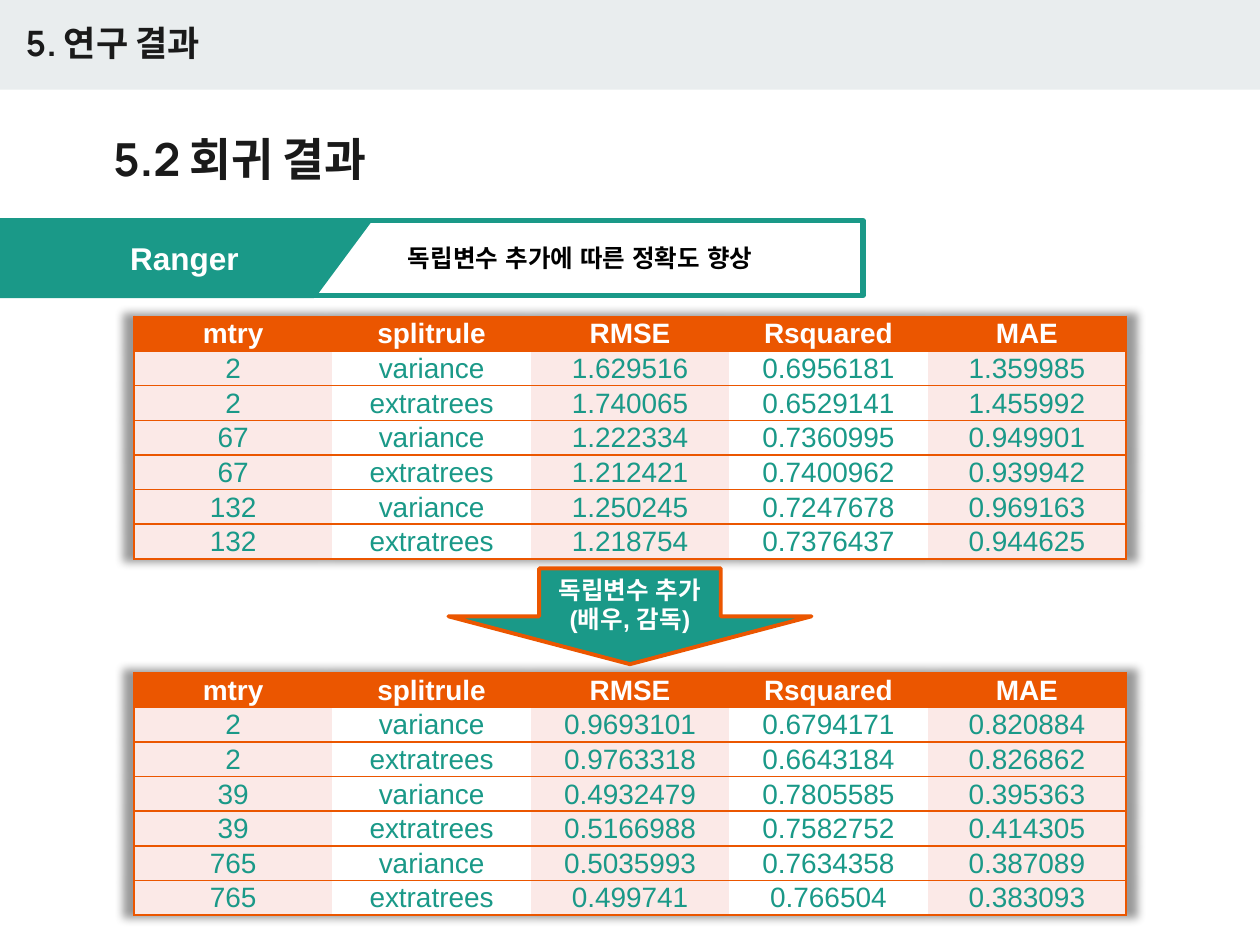
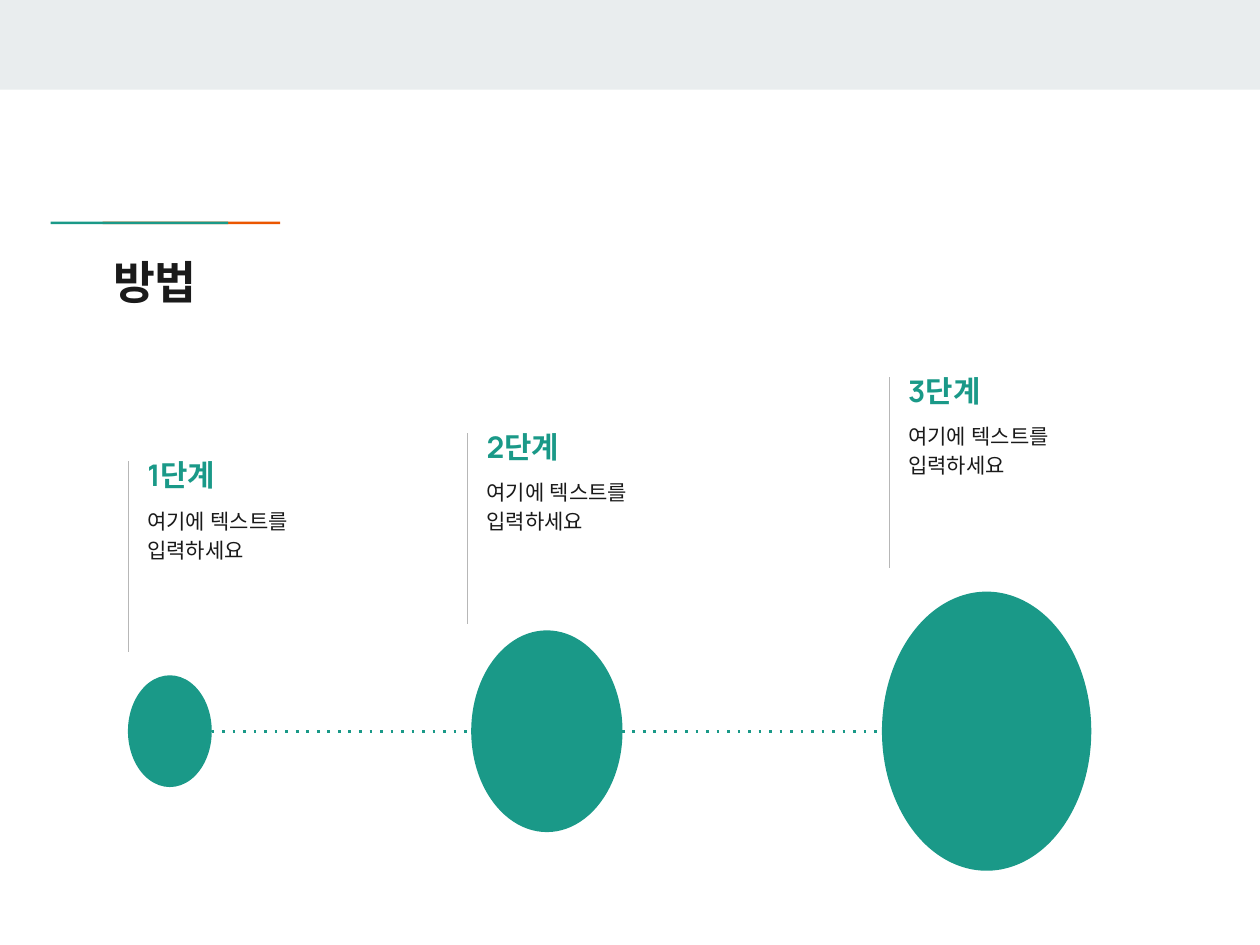
from pptx import Presentation
from pptx.dml.color import RGBColor
from pptx.enum.dml import MSO_LINE
from pptx.enum.shapes import MSO_CONNECTOR, MSO_SHAPE
from pptx.enum.text import MSO_ANCHOR as ANCHOR, PP_ALIGN as ALIGN
from pptx.oxml import parse_xml
from pptx.oxml.ns import nsdecls, qn
from pptx.util import Cm, Pt
from lxml.etree import SubElement

TEAL, ORANGE, WHITE = "1A9988", "EB5600", "FFFFFF"
BAND, INK, BLACK, PINK, GREY = "E9EDEE", "1A1A1A", "000000", "FBE9E7", "B7B7B7"
HEADING, BODY, PLAIN = "Manrope", "Lato", "Arial"

HEADERS = ["mtry", "splitrule", "RMSE", "Rsquared", "MAE"]
BEFORE = [
    ["2", "variance", "1.629516", "0.6956181", "1.359985"],
    ["2", "extratrees", "1.740065", "0.6529141", "1.455992"],
    ["67", "variance", "1.222334", "0.7360995", "0.949901"],
    ["67", "extratrees", "1.212421", "0.7400962", "0.939942"],
    ["132", "variance", "1.250245", "0.7247678", "0.969163"],
    ["132", "extratrees", "1.218754", "0.7376437", "0.944625"],
]
AFTER = [
    ["2", "variance", "0.9693101", "0.6794171", "0.820884"],
    ["2", "extratrees", "0.9763318", "0.6643184", "0.826862"],
    ["39", "variance", "0.4932479", "0.7805585", "0.395363"],
    ["39", "extratrees", "0.5166988", "0.7582752", "0.414305"],
    ["765", "variance", "0.5035993", "0.7634358", "0.387089"],
    ["765", "extratrees", "0.499741", "0.766504", "0.383093"],
]


def rgb(color):
    return RGBColor.from_string(color)


def cm(*lengths):
    return [Cm(length) for length in lengths]


def write(p, text, size, font, color, bold=False, align=None):
    p.alignment = align
    r = p.add_run()
    r.text = text
    r.font.size = Pt(size)
    r.font.bold = bold
    r.font.color.rgb = rgb(color)
    r.font.name = font
    SubElement(r.font._element, qn("a:ea"), typeface=font)


def paint(sp, fill, line=None, width=0):
    sp.shadow.inherit = False
    sp.fill.solid()
    sp.fill.fore_color.rgb = rgb(fill)
    if line:
        sp.line.color.rgb = rgb(line)
        sp.line.width = Pt(width)
    else:
        sp.line.fill.background()
    return sp


def add_shape(s, kind, box, fill, line=None, width=0):
    return paint(s.shapes.add_shape(kind, *cm(*box)), fill, line, width)


def add_line(s, x1, y1, x2, y2, color, width):
    line = s.shapes.add_connector(MSO_CONNECTOR.STRAIGHT, *cm(x1, y1, x2, y2))
    SubElement(line._element.spPr, qn("a:effectLst"))
    line.line.color.rgb = rgb(color)
    line.line.width = Pt(width)
    return line


def add_text(s, box, text, size, font, color, bold=True, anchor=ANCHOR.TOP, left=0.25):
    tf = s.shapes.add_textbox(*cm(*box)).text_frame
    tf.word_wrap = True
    tf.vertical_anchor = anchor
    tf.margin_left = Cm(left)
    tf.margin_top = tf.margin_right = tf.margin_bottom = Cm(0.25)
    write(tf.paragraphs[0], text, size, font, color, bold)
    return tf


def add_base(prs, title, title_top):
    s = prs.slides.add_slide(prs.slide_layouts[6])
    add_shape(s, MSO_SHAPE.RECTANGLE, (0, 0, 25.4, 1.81), BAND)
    add_text(s, (2.03, title_top, 21.36, 1.98), title, 26, HEADING, INK)
    return s


def add_ribbon(s, box, label, caption):
    left, top, width, height = box
    tab, slant = 7.44, 1.12
    panel = add_shape(s, MSO_SHAPE.RECTANGLE, (left + 6, top, width - 6, height), WHITE, TEAL, 3)
    outline = [(0, 0), (tab, 0), (tab - slant, height), (0, height)]
    points = [cm(left + x, top + y) for x, y in outline]
    builder = s.shapes.build_freeform(*points[0])
    builder.add_line_segments(points[1:])
    flag = paint(builder.convert_to_shape(), TEAL, TEAL, 3)
    for sp, text, size, color in ((panel, caption, 14, BLACK), (flag, label, 18, WHITE)):
        sp.text_frame.vertical_anchor = ANCHOR.MIDDLE
        write(sp.text_frame.paragraphs[0], text, size, PLAIN, color, True, ALIGN.CENTER)


def set_borders(cell, colors):
    tc_pr = cell._tc.get_or_add_tcPr()
    for i, (side, color) in enumerate(zip("LRTB", colors)):
        fill = f'<a:solidFill><a:srgbClr val="{color}"/></a:solidFill>' if color else "<a:noFill/>"
        tc_pr.insert(i, parse_xml(f'<a:ln{side} {nsdecls("a")} w="{Pt(1)}">{fill}</a:ln{side}>'))


def add_glow(table):
    table._tbl.tblPr.insert(0, parse_xml(
        f'<a:effectLst {nsdecls("a")}><a:outerShdw blurRad="63500" sx="102000" sy="102000" algn="ctr" '
        'rotWithShape="0"><a:prstClr val="black"><a:alpha val="40000"/></a:prstClr>'
        '</a:outerShdw></a:effectLst>'))


def add_scores(s, box, scores):
    left, top, width, height = box
    rows = [HEADERS] + scores
    last = len(HEADERS) - 1
    table = s.shapes.add_table(len(rows), len(HEADERS), *cm(*box)).table
    table.horz_banding = False
    add_glow(table)
    for column in table.columns:
        column.width = Cm(width / len(HEADERS))
    for i, values in enumerate(rows):
        table.rows[i].height = Cm(height / len(rows))
        for j, value in enumerate(values):
            cell = table.cell(i, j)
            cell.vertical_anchor = ANCHOR.MIDDLE
            cell.margin_left = cell.margin_top = cell.margin_right = Cm(0.02)
            cell.margin_bottom = 0
            cell.fill.solid()
            cell.fill.fore_color.rgb = rgb(ORANGE if i == 0 else (PINK, WHITE)[j % 2])
            set_borders(cell, (ORANGE if j == 0 else None, ORANGE if j == last else None, ORANGE, ORANGE))
            write(cell.text_frame.paragraphs[0], value, 16, PLAIN,
                  TEAL if i else WHITE, i == 0, ALIGN.CENTER)


def add_arrow(s, box, lines):
    tf = add_shape(s, MSO_SHAPE.DOWN_ARROW, box, TEAL, ORANGE, 2.25).text_frame
    tf.word_wrap = False
    tf.vertical_anchor = ANCHOR.TOP
    for i, text in enumerate(lines):
        p = tf.add_paragraph() if i else tf.paragraphs[0]
        write(p, text, 14, PLAIN, WHITE, True, ALIGN.CENTER)


def add_step(s, left, top, title, text):
    add_line(s, left, top, left, top + 3.85, GREY, 0.75)
    add_text(s, (left + 0.13, top - 0.45, 5.03, 1.45), title, 17, HEADING, TEAL, anchor=ANCHOR.MIDDLE)
    tf = add_text(s, (left + 0.13, top + 0.62, 5.03, 2.13), text, 12, BODY, INK, bold=False)
    tf.paragraphs[0].line_spacing = 1.15


def add_timeline(s, axis, circles):
    start = sum(circles[0])
    line = add_line(s, start, axis, circles[-1][0], axis, TEAL, 1.5)
    line.line.dash_style = MSO_LINE.ROUND_DOT
    line._element.spPr.find(".//" + qn("a:prstDash")).set("val", "dot")
    for left, width in circles:
        height = width * 4 / 3
        add_shape(s, MSO_SHAPE.OVAL, (left, axis - height / 2, width, height), TEAL)


def add_accent(s, left, top):
    for offset, color in ((1.05, ORANGE), (0, TEAL)):
        add_shape(s, MSO_SHAPE.RECTANGLE, (left + offset, top, 3.58, 0.05), color)


def build_results(prs):
    s = add_base(prs, "5.2 회귀 결과", 2.39)
    add_text(s, (0, 0, 21.36, 1.73), "5. 연구 결과", 20, HEADING, INK, anchor=ANCHOR.MIDDLE, left=0.52)
    add_ribbon(s, (0, 4.45, 17.4, 1.51), "Ranger", "독립변수 추가에 따른 정확도 향상")
    for top, scores in ((6.38, BEFORE), (13.56, AFTER)):
        add_scores(s, (2.7, top, 20, 4.57), scores)
    add_arrow(s, (9.04, 11.46, 7.32, 1.93), ["독립변수 추가", "(배우, 감독)"])


def build_method(prs):
    s = add_base(prs, "방법", 4.88)
    add_accent(s, 1.02, 4.47)
    for i, (left, top) in enumerate([(2.59, 9.3), (9.43, 8.73), (17.93, 7.6)], 1):
        add_step(s, left, top, f"{i}단계", "여기에 텍스트를 입력하세요")
    add_timeline(s, 14.74, [(2.58, 1.69), (9.5, 3.05), (17.78, 4.22)])


def main():
    prs = Presentation()
    prs.slide_width, prs.slide_height = cm(25.4, 19.05)
    build_results(prs)
    build_method(prs)
    prs.save("out.pptx")


if __name__ == "__main__":
    main()
